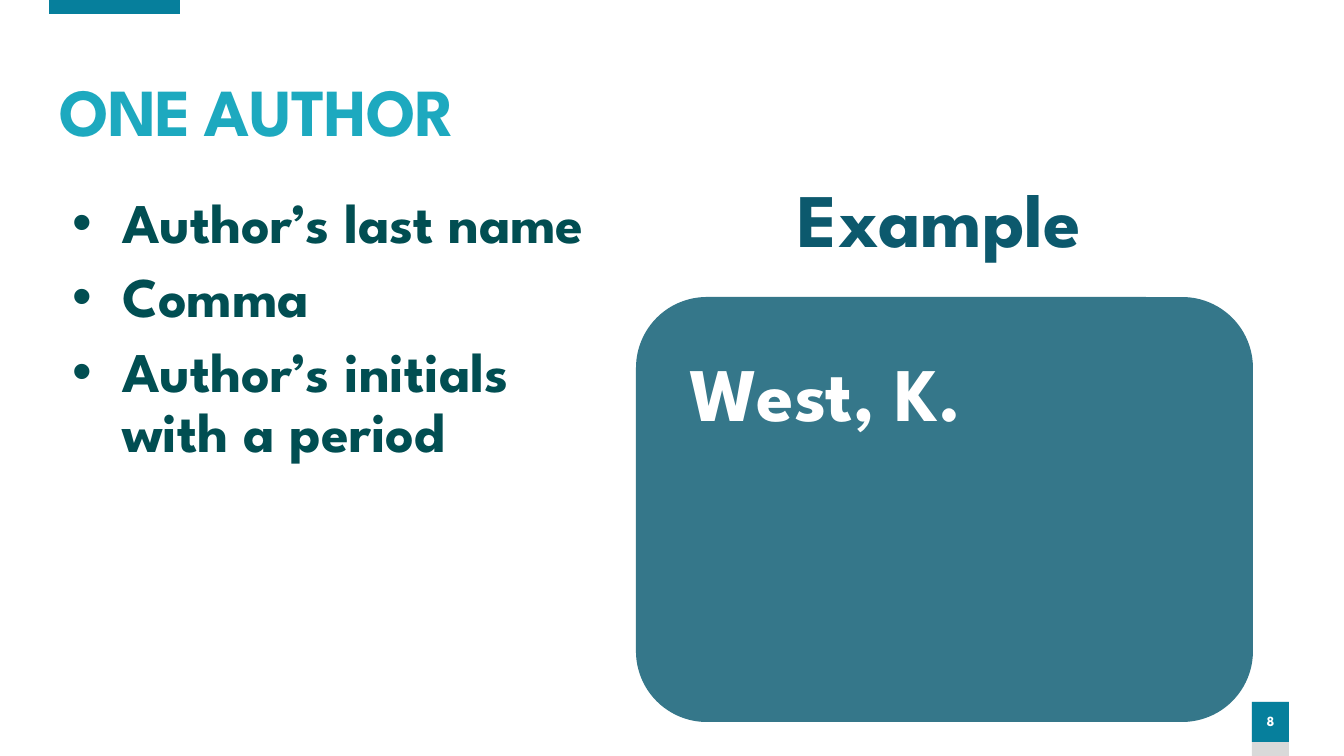
from pptx import Presentation
from pptx.dml.color import RGBColor
from pptx.enum.shapes import MSO_SHAPE
from pptx.enum.text import MSO_ANCHOR, MSO_AUTO_SIZE, PP_ALIGN
from pptx.oxml.ns import qn
from pptx.util import Pt
from lxml.etree import SubElement

SCALE = 914400 / 100.8  # EMU in one px
FACE = "League Spartan"
TEAL, WHITE = "067F9C", "FFFFFF"


def px(num):
    return round(num * SCALE)


def color(code):
    return RGBColor.from_string(code)


def put(item, **style):
    for key, val in style.items():
        setattr(item, key, val)


def place(shape, box):
    put(shape, **dict(zip(("left", "top", "width", "height"), map(px, box))))


# Text
def write(para, text, size, tint, gap=0, align=PP_ALIGN.LEFT):
    put(para, line_spacing=0.9, space_before=Pt(gap), alignment=align)
    run = para.add_run()
    run.text = text
    put(run.font, name=FACE, size=Pt(size), bold=True)
    run.font.color.rgb = color(tint)
    return run


def label(slide, box, text, tint, align):
    shape = slide.shapes.add_textbox(*map(px, box))
    shape.text_frame.word_wrap = True
    write(shape.text_frame.paragraphs[0], text, 54, tint, align=align)


def title(slide, box, parts):
    shape = slide.shapes.title
    place(shape, box)
    frame = shape.text_frame
    put(frame, word_wrap=True, vertical_anchor=MSO_ANCHOR.MIDDLE,
        auto_size=MSO_AUTO_SIZE.SHAPE_TO_FIT_TEXT)
    for text, size in parts:
        run = write(frame.paragraphs[0], text, size, "1DA9BF")
        run.font._element.set("spc", "-60")


def bullets(slide, box, lines):
    shape = slide.placeholders[1]
    place(shape, box)
    frame = shape.text_frame
    put(frame, word_wrap=True, vertical_anchor=MSO_ANCHOR.TOP,
        auto_size=MSO_AUTO_SIZE.NONE)
    for num, text in enumerate(lines):
        para = frame.add_paragraph() if num else frame.paragraphs[0]
        props = para._p.get_or_add_pPr()
        props.set("marL", str(px(50)))
        props.set("indent", str(px(-50)))
        SubElement(props, qn("a:buChar")).set("char", "•")
        write(para, text, 40, "014E52", gap=10 if num else 0)


# Filled shapes
def block(slide, box, fill, kind=MSO_SHAPE.RECTANGLE, alpha=100):
    shape = slide.shapes.add_shape(kind, *map(px, box))
    shape.shadow.inherit = False
    shape.fill.solid()
    shape.fill.fore_color.rgb = color(fill)
    shape.line.fill.background()
    if alpha < 100:
        tone = shape.fill._xPr.find(".//" + qn("a:srgbClr"))
        SubElement(tone, qn("a:alpha")).set("val", str(alpha * 1000))
    return shape


def badge(slide, box, text):
    frame = block(slide, box, TEAL).text_frame
    put(frame, margin_left=0, margin_right=0, margin_top=px(5),
        margin_bottom=px(5), vertical_anchor=MSO_ANCHOR.MIDDLE)
    write(frame.paragraphs[0], text, 10, WHITE, align=PP_ALIGN.CENTER)


def main():
    deck = Presentation()
    put(deck, slide_width=px(1344), slide_height=px(756))
    slide = deck.slides.add_slide(deck.slide_layouts[1])

    # Heading and list
    block(slide, (49, 0, 131, 14), TEAL)
    title(slide, (49, 73, 570, 84), [("ONE", 48), (" ", 36), ("AUTHOR", 48)])
    bullets(slide, (62, 190, 556, 37),
            ["Author’s last name", "Comma", "Author’s initials with a period"])

    # Page number
    block(slide, (1252, 702, 37, 54), "D9D9D9")
    badge(slide, (1252, 702, 37, 40), "8")

    # Example card
    block(slide, (636, 297, 617, 425), "03556D",
          MSO_SHAPE.ROUNDED_RECTANGLE, alpha=80)
    label(slide, (636, 177, 607, 64), "Example", "0C596D", PP_ALIGN.CENTER)
    label(slide, (680, 351, 607, 64), "West, K.", WHITE, PP_ALIGN.LEFT)

    deck.save("out.pptx")


if __name__ == "__main__":
    main()
